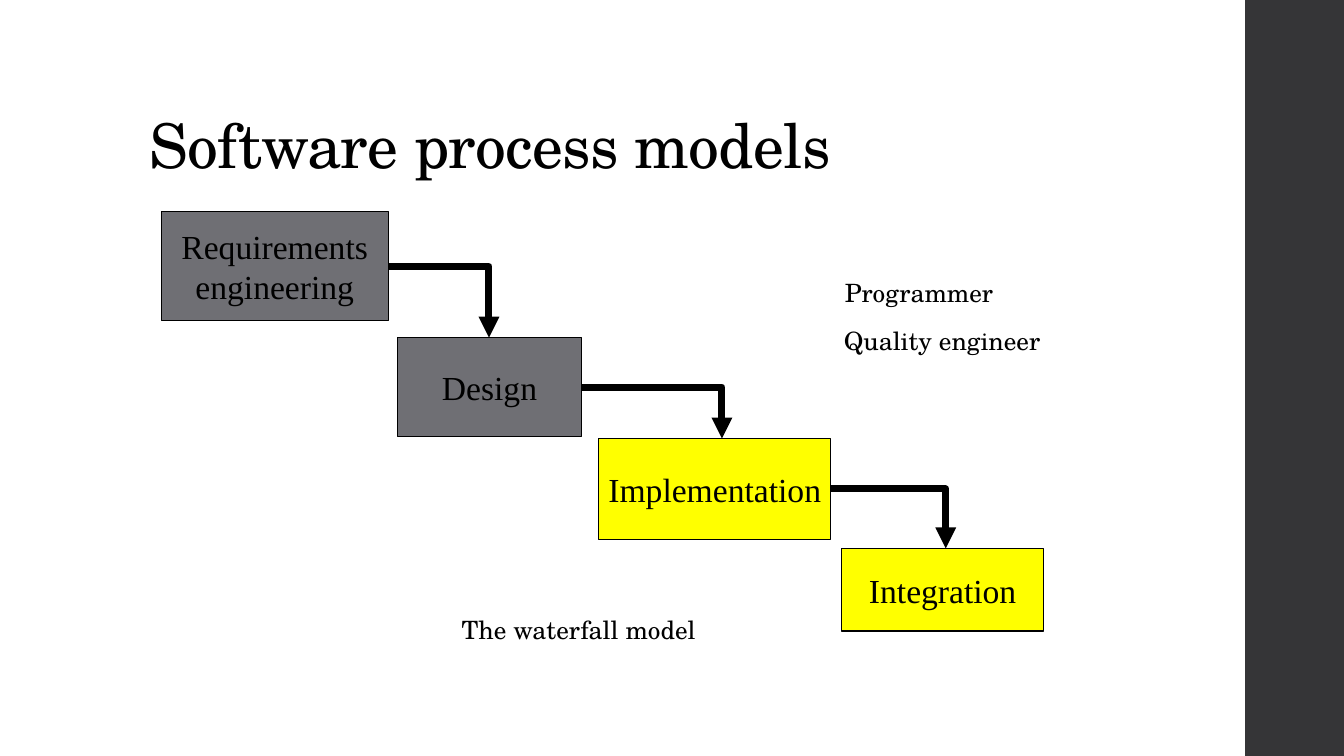
from dataclasses import dataclass

from lxml import etree
from pptx import Presentation
from pptx.dml.color import RGBColor
from pptx.enum.shapes import MSO_CONNECTOR, MSO_SHAPE
from pptx.enum.text import MSO_ANCHOR, PP_ALIGN
from pptx.oxml.ns import qn
from pptx.util import Inches, Pt

RECTANGLE = MSO_SHAPE.RECTANGLE
ELBOW = MSO_CONNECTOR.ELBOW
LEFT, CENTER = PP_ALIGN.LEFT, PP_ALIGN.CENTER
MIDDLE, TOP, BOTTOM = MSO_ANCHOR.MIDDLE, MSO_ANCHOR.TOP, MSO_ANCHOR.BOTTOM


@dataclass(frozen=True)
class Theme:
    ink: RGBColor = RGBColor(0, 0, 0)
    sidebar: RGBColor = RGBColor(0x35, 0x35, 0x37)
    gray: RGBColor = RGBColor(0x6F, 0x6F, 0x74)
    yellow: RGBColor = RGBColor(0xFF, 0xFF, 0)
    heading_font: str = "TeX Gyre Schola"
    stage_font: str = "Times New Roman"
    title_size: int = 44
    stage_size: int = 24
    caption_size: int = 18
    outline: float = 0.75
    arrow: float = 5


THEME = Theme()
SLIDE_WIDTH, SLIDE_HEIGHT = 13.33, 7.5
SIDEBAR_LEFT = 12.35
CAPTION_WIDTH, CAPTION_HEIGHT = 2.62, 0.4
TITLE = "Software process models"
STAGES = [
    (["Requirements", "engineering"], (1.6, 2.1, 2.25, 1.08), THEME.gray),
    (["Design"], (3.94, 3.35, 1.83, 0.98), THEME.gray),
    (["Implementation"], (5.94, 4.35, 2.3, 1), THEME.yellow),
    (["Integration"], (8.35, 5.44, 2, 0.82), THEME.yellow),
]
ARROW_COLUMNS = [4.85, 7.16, 9.38]
CAPTIONS = [
    ("The waterfall model", 4.48, 6.05),
    ("Programmer", 8.28, 2.7),
    ("Quality engineer", 8.27, 3.18),
]


def write(shape, lines, font, size, align=LEFT, anchor=TOP, wrap=True,
          line_spacing=1.0, tracking=0):
    frame = shape.text_frame
    frame.word_wrap = wrap
    frame.vertical_anchor = anchor
    frame.text = "\n".join(lines)
    for para in frame.paragraphs:
        para.alignment = align
        para.line_spacing = line_spacing
        for span in para.runs:
            span.font.name = font
            span.font.size = Pt(size)
            span.font.color.rgb = THEME.ink
            if tracking:
                span.font._element.set("spc", str(round(tracking * 100)))


def add_box(page, place, fill):
    box = page.shapes.add_shape(RECTANGLE, *map(Inches, place))
    box.shadow.inherit = False
    box.fill.solid()
    box.fill.fore_color.rgb = fill
    box.line.fill.background()
    return box


def add_stage(page, lines, place, fill):
    box = add_box(page, place, fill)
    box.line.color.rgb = THEME.ink
    box.line.width = Pt(THEME.outline)
    write(box, lines, THEME.stage_font, THEME.stage_size,
          align=CENTER, anchor=MIDDLE, wrap=False)


def add_step(page, start, end):
    step = page.shapes.add_connector(ELBOW, *map(Inches, start + end))
    step.line.color.rgb = THEME.ink
    step.line.width = Pt(THEME.arrow)
    properties = step._element.spPr
    properties.find(qn("a:prstGeom")).set("prst", "bentConnector2")
    etree.SubElement(properties.find(qn("a:ln")), qn("a:tailEnd"), type="triangle")
    etree.SubElement(properties, qn("a:effectLst"))


deck = Presentation()
deck.slide_width, deck.slide_height = Inches(SLIDE_WIDTH), Inches(SLIDE_HEIGHT)
page = deck.slides.add_slide(deck.slide_layouts.get_by_name("Title Only"))

add_box(page, (SIDEBAR_LEFT, 0, SLIDE_WIDTH - SIDEBAR_LEFT, SLIDE_HEIGHT), THEME.sidebar)

title = page.shapes.title
title.left, title.top, title.width, title.height = map(Inches, (1.38, 0.4, 10.6, 1.45))
write(title, [TITLE], THEME.heading_font, THEME.title_size,
      anchor=BOTTOM, line_spacing=0.9, tracking=-0.5)

for lines, place, fill in STAGES:
    add_stage(page, lines, place, fill)

for column, (_, source, _), (_, target, _) in zip(ARROW_COLUMNS, STAGES, STAGES[1:]):
    left, top, width, height = source
    add_step(page, (left + width, top + height / 2), (column, target[1]))

for text, left, top in CAPTIONS:
    caption = page.shapes.add_textbox(
        *map(Inches, (left, top, CAPTION_WIDTH, CAPTION_HEIGHT)))
    write(caption, [text], THEME.heading_font, THEME.caption_size)

deck.save("out.pptx")
